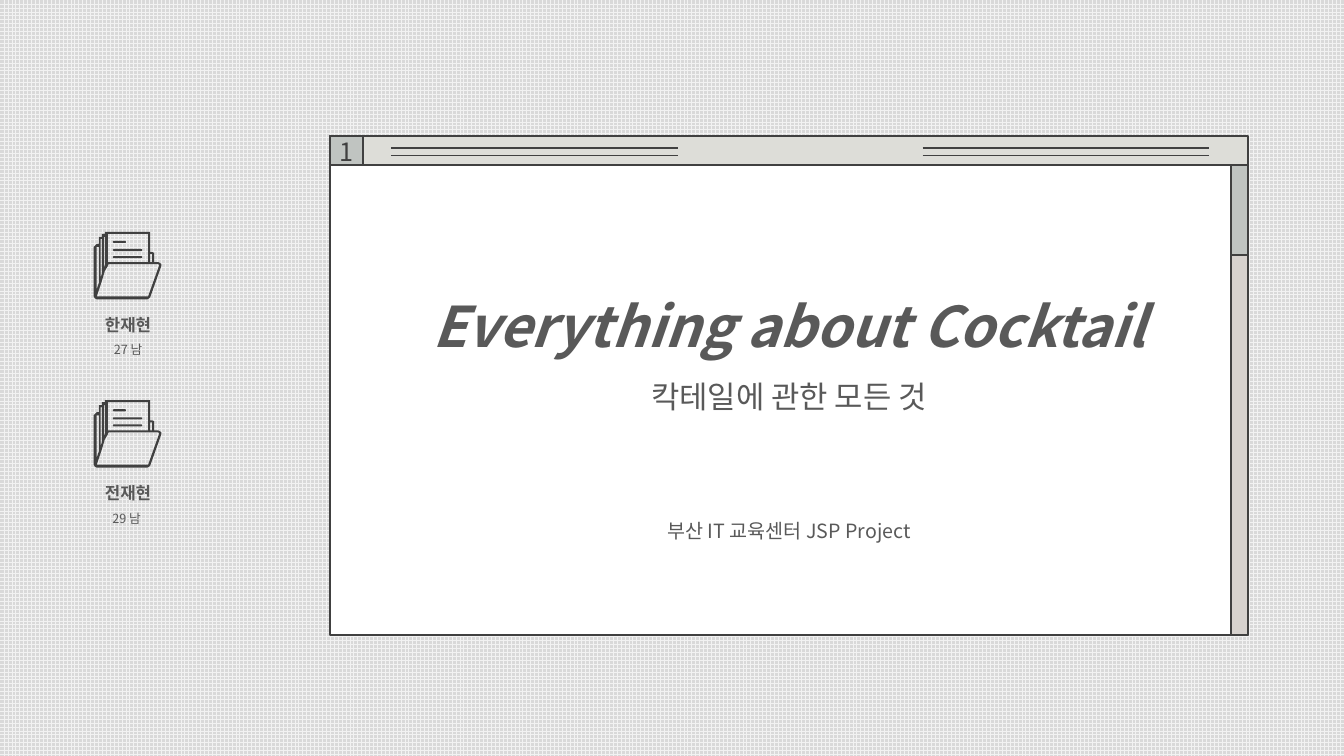
from dataclasses import dataclass
from lxml.etree import SubElement
from pptx import Presentation
from pptx.dml.color import RGBColor
from pptx.enum.dml import MSO_PATTERN
from pptx.enum.shapes import MSO_CONNECTOR, MSO_SHAPE
from pptx.enum.text import MSO_ANCHOR, MSO_AUTO_SIZE, PP_ALIGN
from pptx.oxml.ns import qn
from pptx.util import Inches, Pt


@dataclass(frozen=True)
class Theme:
    font: str = "Noto Sans CJK KR"
    ink: str = "404040"
    text: str = "595959"
    grid: str = "F2F2F2"
    desk: str = "D9D9D9"
    bar: str = "DDDDD8"
    accent: str = "C0C4C1"
    page: str = "FFFFFF"
    track: str = "D7D2CE"
    title: int = 40
    subtitle: int = 22
    course: int = 14
    number: int = 18
    name: int = 12
    detail: int = 9
    border: float = 1.5
    rule: float = 1


THEME = Theme()

NUMBER = [("1", {"size": THEME.number}, {})]
COVER = [
    ("Everything about Cocktail", {"size": THEME.title, "bold": True, "italic": True}, {"line_spacing": 1.5}),
    ("칵테일에 관한 모든 것", {"size": THEME.subtitle}, {"line_spacing": 1.5}),
    ("부산 IT 교육센터 JSP Project", {"size": THEME.course}, {"line_spacing": 1.5, "space_before": Pt(66)}),
]
MEMBERS = [("한재현", "27 남"), ("전재현", "29 남 ")]

LEFT, TOP, WIDTH = 3.27, 1.35, 9.11
BAR_H, PAGE_H = 0.3, 4.66
PAGE_TOP = 1.64
SCROLL_W, THUMB_H = 0.17, 0.89
SCROLL_LEFT = LEFT + WIDTH - SCROLL_W
PANELS = [
    ((LEFT, TOP, WIDTH, BAR_H), THEME.bar, [], THEME.ink),
    ((LEFT, TOP, 0.33, BAR_H), THEME.accent, NUMBER, THEME.ink),
    ((LEFT, PAGE_TOP, WIDTH, PAGE_H), THEME.page, COVER, THEME.text),
    ((SCROLL_LEFT, PAGE_TOP, SCROLL_W, PAGE_H), THEME.track, [], THEME.ink),
    ((SCROLL_LEFT, PAGE_TOP, SCROLL_W, THUMB_H), THEME.accent, [], THEME.ink),
]
RULE_LEFTS, RULE_TOPS, RULE_W = (3.88, 9.15), (1.47, 1.54), 2.84

FOLDER_LEFT, FOLDER_TOP, FOLDER_STEP = 0.93, 2.3, 1.67
LABEL_LEFT, LABEL_DROP, LABEL_W, LABEL_H = 0.61, 0.67, 1.32, 0.63
FOLDER_UNIT = 0.01
FOLDER_OUTLINES = [
    [(64, 30), (60, 30), (60, 21), (58, 20), (56, 20), (56, 0), (11, 0), (11, 2), (8, 2),
     (8, 5), (5, 5), (5, 12), (3, 12), (1, 14), (0, 15), (0, 64), (1, 66), (3, 67), (53, 67),
     (55, 66), (56, 65), (67, 34), (67, 32), (66, 31)],
    [(57, 22), (58, 22), (58, 30), (56, 30), (56, 22)],
    [(54, 2), (54, 30), (14, 30), (14, 2)],
    [(11, 5), (11, 33), (10, 36), (10, 5)],
    [(7, 7), (8, 7), (8, 42), (7, 45)],
    [(3, 15), (5, 15), (5, 51), (3, 57)],
    [(54, 64), (3, 64), (5, 58), (8, 49), (11, 39), (14, 34), (14, 33), (15, 32), (64, 32), (65, 33)],
]
FOLDER_LINES = [(0.09, 0.13), (0.17, 0.29), (0.24, 0.29)]
FOLDER_LINE_LEFT, FOLDER_LINE_H = 0.19, 0.02


def inches(*lengths):
    return [Inches(round(length, 2)) for length in lengths]


def apply(target, values):
    for key, value in values.items():
        setattr(target, key, value)


def paint(shape, fill, border=None):
    shape.shadow.inherit = False
    shape.fill.solid()
    shape.fill.fore_color.rgb = RGBColor.from_string(fill)
    if border:
        shape.line.color.rgb = RGBColor.from_string(THEME.ink)
        shape.line.width = Pt(border)
    else:
        shape.line.fill.background()


def write(frame, lines, color):
    for index, (wording, font, layout) in enumerate(lines):
        paragraph = frame.add_paragraph() if index else frame.paragraphs[0]
        apply(paragraph, {"alignment": PP_ALIGN.CENTER, **layout})
        run = paragraph.add_run()
        run.text = wording
        apply(run.font, {"name": THEME.font, "bold": False, "italic": False, **font, "size": Pt(font["size"])})
        run.font.color.rgb = RGBColor.from_string(color)
        SubElement(run.font._element, qn("a:ea"), typeface=THEME.font)


def draw_window(slide):
    window = slide.shapes.add_group_shape().shapes
    for box, fill, lines, color in PANELS:
        panel = window.add_shape(MSO_SHAPE.RECTANGLE, *inches(*box))
        paint(panel, fill, THEME.border)
        apply(panel.text_frame, {"word_wrap": True, "vertical_anchor": MSO_ANCHOR.MIDDLE})
        write(panel.text_frame, lines, color)
    for left in RULE_LEFTS:
        for top in RULE_TOPS:
            rule = window.add_connector(MSO_CONNECTOR.STRAIGHT, *inches(left, top, left + RULE_W, top))
            rule.line.color.rgb = RGBColor.from_string(THEME.ink)
            rule.line.width = Pt(THEME.rule)
            SubElement(rule._element.spPr, qn("a:effectLst"))


def draw_folder(slide, top):
    folder = slide.shapes.add_group_shape().shapes
    first, *holes = FOLDER_OUTLINES
    builder = folder.build_freeform(*first[0], scale=Inches(FOLDER_UNIT))
    builder.add_line_segments(first[1:], close=True)
    for hole in holes:
        builder.move_to(*hole[0])
        builder.add_line_segments(hole[1:], close=True)
    paint(builder.convert_to_shape(*inches(FOLDER_LEFT, top)), THEME.ink)
    for drop, width in FOLDER_LINES:
        box = inches(FOLDER_LEFT + FOLDER_LINE_LEFT, top + drop, width, FOLDER_LINE_H)
        line = folder.add_shape(MSO_SHAPE.ROUNDED_RECTANGLE, *box)
        line.adjustments[0] = 0.5
        paint(line, THEME.ink)


def draw_member(slide, top, name, detail):
    draw_folder(slide, top)
    label = slide.shapes.add_textbox(*inches(LABEL_LEFT, top + LABEL_DROP, LABEL_W, LABEL_H))
    apply(label.text_frame, {"word_wrap": True, "auto_size": MSO_AUTO_SIZE.SHAPE_TO_FIT_TEXT})
    spacing = {"line_spacing": 1.5}
    write(label.text_frame, [
        (name, {"size": THEME.name, "bold": True}, spacing),
        (detail, {"size": THEME.detail}, spacing),
    ], THEME.text)


def main():
    deck = Presentation()
    apply(deck, {"slide_width": Inches(13.33), "slide_height": Inches(7.5)})
    slide = deck.slides.add_slide(deck.slide_layouts[6])
    desk = slide.background.fill
    desk.patterned()
    desk.pattern = MSO_PATTERN.LARGE_GRID
    desk.fore_color.rgb = RGBColor.from_string(THEME.grid)
    desk.back_color.rgb = RGBColor.from_string(THEME.desk)
    draw_window(slide)
    for index, (name, detail) in enumerate(MEMBERS):
        draw_member(slide, FOLDER_TOP + index * FOLDER_STEP, name, detail)
    deck.save("out.pptx")


if __name__ == "__main__":
    main()
